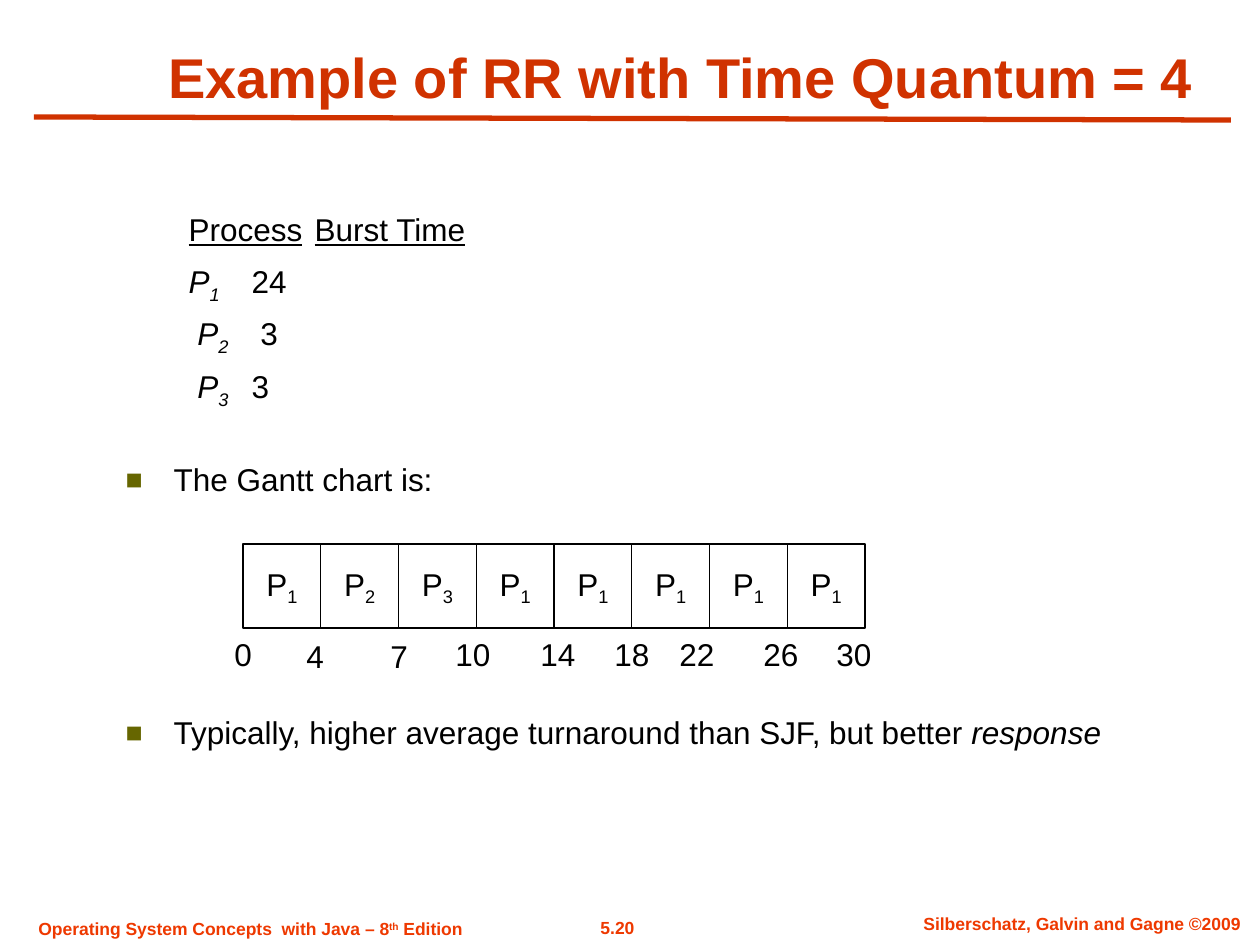
"""Build the round-robin scheduling example slide."""
from lxml import etree
from pptx import Presentation
from pptx.dml.color import RGBColor
from pptx.enum.shapes import MSO_CONNECTOR, MSO_SHAPE
from pptx.enum.text import MSO_ANCHOR, MSO_AUTO_SIZE, PP_ALIGN
from pptx.oxml.ns import qn
from pptx.util import Emu, Pt

STRAIGHT, RECT = MSO_CONNECTOR.STRAIGHT, MSO_SHAPE.RECTANGLE
LEFT, MID = PP_ALIGN.LEFT, PP_ALIGN.CENTER
CENTER, BOTTOM, TOP = MSO_ANCHOR.MIDDLE, MSO_ANCHOR.BOTTOM, MSO_ANCHOR.TOP
FIXED = MSO_AUTO_SIZE.NONE

THEME = {
    "font": "Arial", "title": ("D03200", 32), "text": ("000000", 18),
    "foot": ("EE3900", 10), "bullet": "666600", "paper": "FFFFFF",
}
SCALE = 914400 / 126
SHIFT = {"sub": "-25000", "sup": "30000"}


def px(*sizes):
    """Turn px into EMU."""
    return [Emu(round(size * SCALE)) for size in sizes]


def write(para, role, *runs, align=LEFT):
    """Add runs, each a text with its marks, in the style of a role."""
    color, size = THEME[role]
    para.alignment = align
    for text, *marks in runs:
        run = para.add_run()
        run.text = text
        font = run.font
        font.name, font.size = THEME["font"], Pt(size)
        font.color.rgb = RGBColor.from_string(color)
        font.bold = role != "text"
        font.italic = "italic" in marks
        font.underline = "line" in marks
        for mark in marks:
            if mark in SHIFT:
                run._r.get_or_add_rPr().set("baseline", SHIFT[mark])


deck = Presentation()
deck.slide_width, deck.slide_height = px(1260, 945)
slide = deck.slides.add_slide(deck.slide_layouts[1])
shapes = slide.shapes
title, body = slide.placeholders

# Footer
feet = [
    (556, 911, 123, MID, [("5.20",)]),
    (895, 907, 374, MID, [("Silberschatz, Galvin and Gagne ©2009",)]),
    (26, 912, 449, LEFT, [("Operating System Concepts  with Java – 8",),
                          ("th", "sup"), (" Edition",)]),
]
for x, y, wide, align, runs in feet:
    frame = shapes.add_textbox(*px(x, y, wide, 34)).text_frame
    frame.word_wrap = True
    write(frame.paragraphs[0], "foot", *runs, align=align)

rule = shapes.add_connector(STRAIGHT, *px(34, 117, 1231, 120))
rule.line.color.rgb = RGBColor.from_string(THEME["title"][0])
rule.line.width = Pt(3)
etree.SubElement(rule._element.spPr, qn("a:effectLst"))

title.left, title.top, title.width, title.height = px(126, 0, 1110, 116)
title.text_frame.vertical_anchor = BOTTOM
title.text_frame.auto_size = FIXED
write(title.text_frame.paragraphs[0], "title",
      ("Example of RR with Time Quantum = 4",), align=MID)

body.left, body.top, body.width, body.height = px(113, 208, 1013, 617)
frame = body.text_frame
frame.vertical_anchor, frame.auto_size = TOP, FIXED
rows = [
    (14, False, [("\t",), ("Process", "line"), ("\t",), ("Burst Time", "line")]),
    (14, False, [("\t",), ("P", "italic"), ("1", "italic", "sub"), ("\t24",)]),
    (14, False, [("\t ",), ("P", "italic"), ("2", "italic", "sub"), ("\t 3",)]),
    (14, False, [("\t ",), ("P", "italic"), ("3", "italic", "sub"), ("\t3",)]),
    (58, True, [("The Gantt chart is:",)]),
    (219, True, [("Typically, higher average turnaround than SJF, but better ",),
                 ("response", "italic")]),
]
for i, (gap, dot, runs) in enumerate(rows):
    para = frame.add_paragraph() if i else frame.paragraphs[0]
    para.line_spacing = 0.9
    para.space_before = px(gap)[0]
    write(para, "text", *runs)
    props = para._p.get_or_add_pPr()
    dent = px(48)[0] if dot else 0
    props.set("marL", str(dent))
    props.set("indent", str(-dent))
    if dot:
        hue = etree.SubElement(props, qn("a:buClr"))
        etree.SubElement(hue, qn("a:srgbClr"), val=THEME["bullet"])
        etree.SubElement(props, qn("a:buSzPct"), val="90000")
        etree.SubElement(props, qn("a:buFont"), typeface=THEME["font"])
        etree.SubElement(props, qn("a:buChar"), char="■")
    else:
        etree.SubElement(props, qn("a:buNone"))
        tabs = etree.SubElement(props, qn("a:tabLst"))
        for stop in px(174, 300):
            etree.SubElement(tabs, qn("a:tab"), pos=str(stop), algn="l")

for i, job in enumerate("12311111"):
    cell = shapes.add_shape(RECT, *px(243 + i * 622 / 8, 544, 622 / 8, 84))
    cell.shadow.inherit = False
    cell.fill.solid()
    cell.fill.fore_color.rgb = RGBColor.from_string(THEME["paper"])
    cell.line.color.rgb = RGBColor.from_string(THEME["text"][0])
    cell.line.width = Pt(0.75)
    cell.text_frame.vertical_anchor = CENTER
    cell.text_frame.word_wrap = False
    write(cell.text_frame.paragraphs[0], "text", ("P",), (job, "sub"), align=MID)

times = [(0, 243, 629), (4, 315, 631), (7, 399, 631), (10, 473, 629),
         (14, 558, 629), (18, 632, 629), (22, 697, 629), (26, 781, 629),
         (30, 854, 629)]
for time, mid, top in times:
    wide = 60 if time > 9 else 42
    frame = shapes.add_textbox(*px(mid - wide / 2, top, wide, 50)).text_frame
    frame.vertical_anchor = CENTER
    frame.word_wrap = False
    write(frame.paragraphs[0], "text", (str(time),), align=MID)

deck.save("out.pptx")
